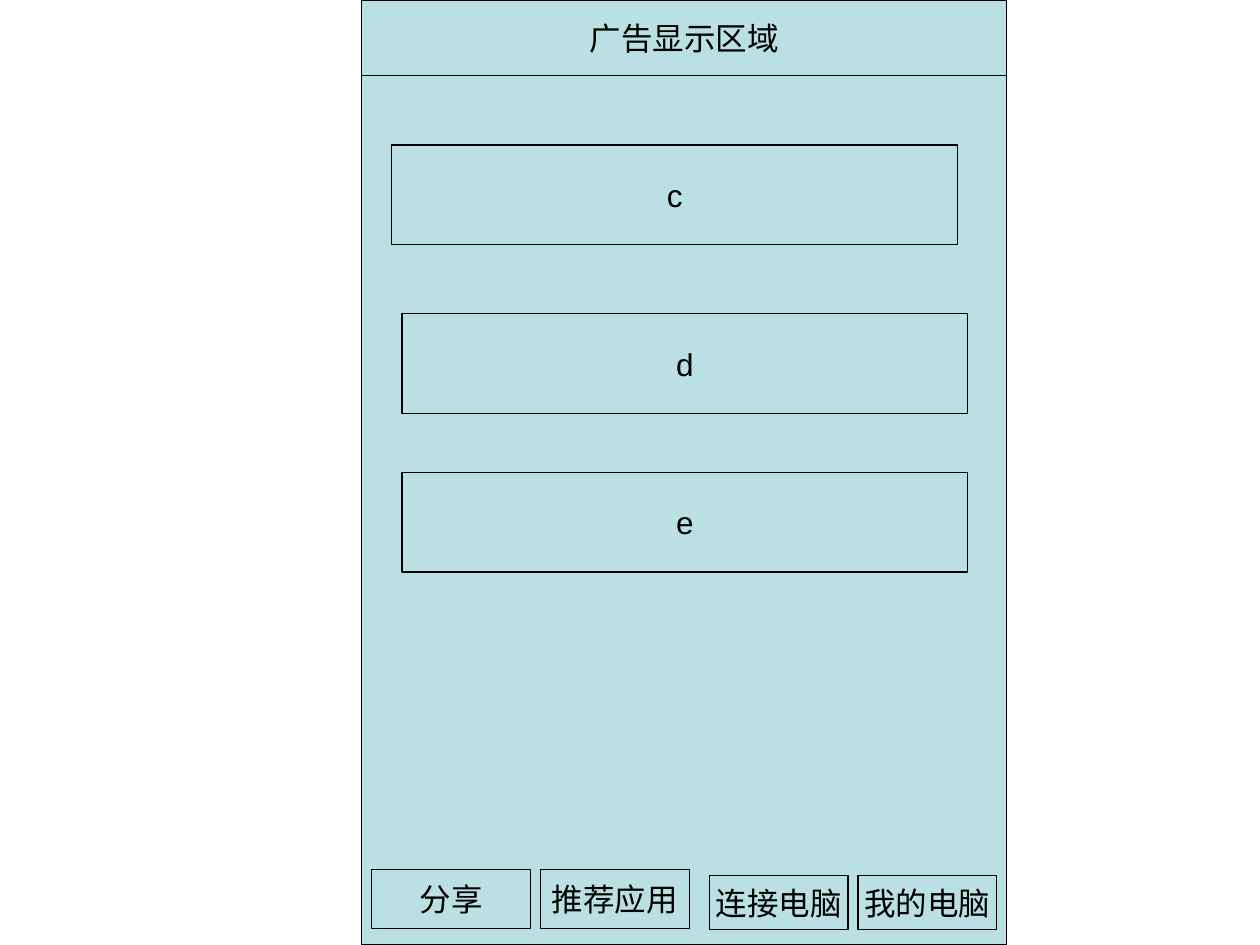
from pptx import Presentation
from pptx.dml.color import RGBColor
from pptx.enum.shapes import MSO_SHAPE
from pptx.enum.text import MSO_ANCHOR, PP_ALIGN
from pptx.util import Inches, Pt

RECTANGLE = MSO_SHAPE.RECTANGLE
MIDDLE = MSO_ANCHOR.MIDDLE
CENTER = PP_ALIGN.CENTER
COLORS = {"panel": "BBE0E3", "ink": "000000"}
BLANK_LAYOUT = 6

SCREEN_LEFT, SCREEN_WIDTH = 2.87, 5.12
ENTRY_SIZE = (4.49, 0.79)
ENTRIES = [("c", 3.11, 1.15), ("d", 3.19, 2.49), ("e", 3.19, 3.75)]
BUTTONS = [
    ("我的电脑", 6.81, 6.95, 1.1, 0.43),
    ("连接电脑", 5.63, 6.95, 1.1, 0.43),
    ("分享", 2.95, 6.9, 1.26, 0.47),
    ("推荐应用", 4.29, 6.9, 1.18, 0.47),
]


def write_text(frame, text, *, font, size, color, align, anchor):
    frame.word_wrap = False
    frame.vertical_anchor = anchor
    para = frame.paragraphs[0]
    para.alignment = align
    span = para.add_run()
    span.text = text
    span.font.name = font
    span.font.size = Pt(size)
    span.font.color.rgb = RGBColor.from_string(color)


class Wireframe:
    font = "Arial"
    text_size = 18
    line_width = 0.75

    def __init__(self, page):
        self.page = page

    def panel(self, left, top, width, height):
        box = self.page.shapes.add_shape(
            RECTANGLE, Inches(left), Inches(top), Inches(width), Inches(height)
        )
        box.shadow.inherit = False
        box.fill.solid()
        box.fill.fore_color.rgb = RGBColor.from_string(COLORS["panel"])
        box.line.color.rgb = RGBColor.from_string(COLORS["ink"])
        box.line.width = Pt(self.line_width)
        return box

    def labelled_panel(self, text, left, top, width, height):
        box = self.panel(left, top, width, height)
        write_text(
            box.text_frame, text, font=self.font, size=self.text_size,
            color=COLORS["ink"], align=CENTER, anchor=MIDDLE,
        )


def main():
    deck = Presentation()
    deck.slide_width = Inches(10)
    deck.slide_height = Inches(7.5)
    page = deck.slides.add_slide(deck.slide_layouts[BLANK_LAYOUT])
    wireframe = Wireframe(page)

    wireframe.panel(SCREEN_LEFT, 0, SCREEN_WIDTH, 7.5)
    wireframe.labelled_panel("广告显示区域", SCREEN_LEFT, 0, SCREEN_WIDTH, 0.6)
    for button in BUTTONS:
        wireframe.labelled_panel(*button)
    for text, left, top in ENTRIES:
        wireframe.labelled_panel(text, left, top, *ENTRY_SIZE)

    deck.save("out.pptx")


if __name__ == "__main__":
    main()
